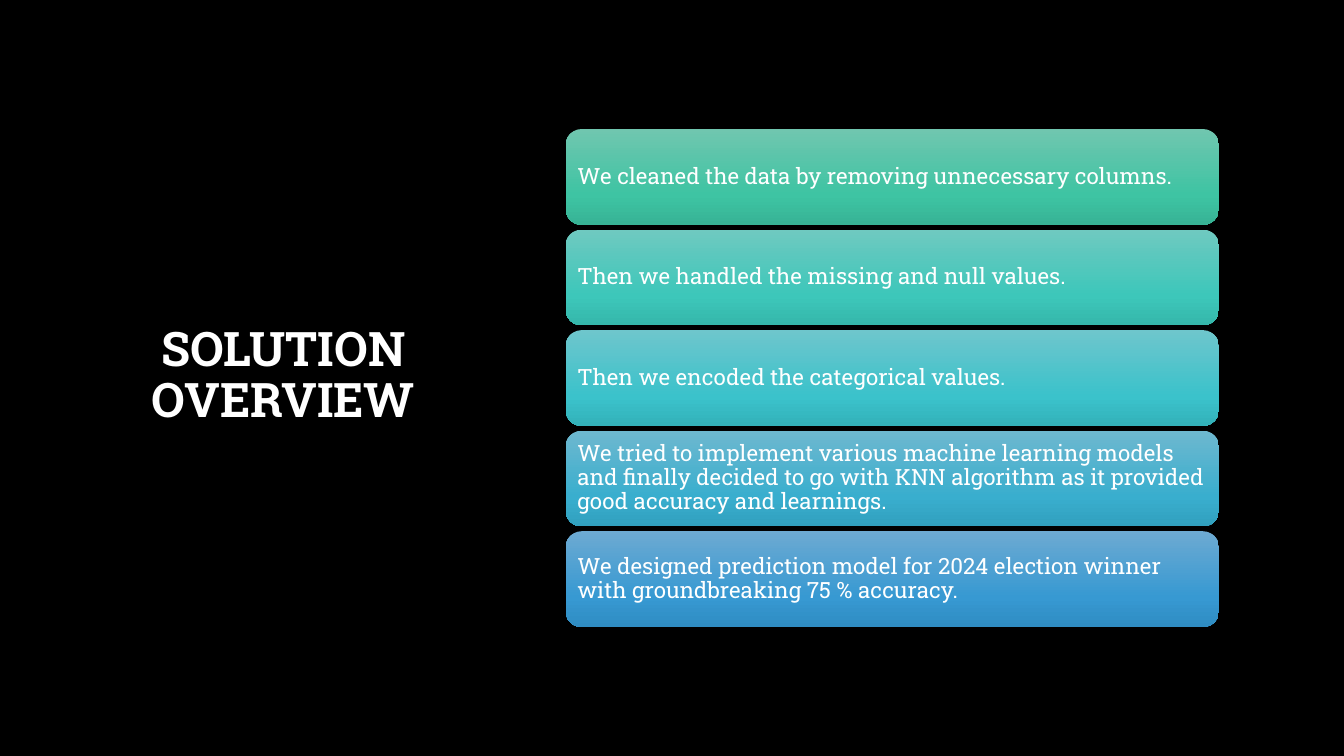
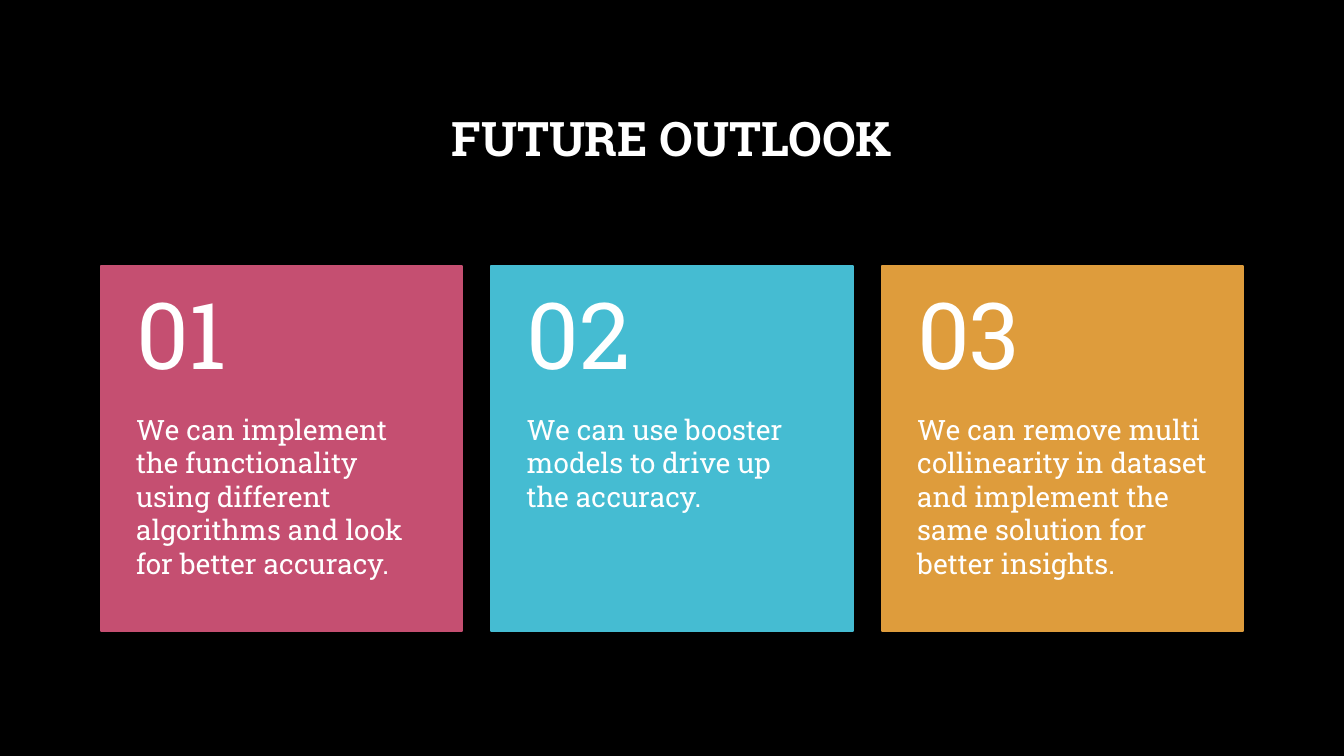
from copy import deepcopy
from dataclasses import dataclass

from pptx import Presentation
from pptx import util as u
from pptx.dml.color import RGBColor
from pptx.enum import shapes, text

STEPS = [
    ("We cleaned the data by removing unnecessary columns.",
     ("70C6AF", "3EC4A3", "37B395")),
    ("Then we handled the missing and null values.",
     ("6FC9C0", "3DC7BA", "35B7AB")),
    ("Then we encoded the categorical values.",
     ("6EC6CC", "3BC2CB", "33B2BA")),
    ("We tried to implement various machine learning models and finally decided "
     "to go with KNN algorithm as it provided good accuracy and learnings.",
     ("6EB8CF", "39AECE", "31A0BE")),
    ("We designed prediction model for 2024 election winner with groundbreaking "
     "75 % accuracy.",
     ("6DAAD2", "3799D2", "2F8CC2")),
]
IDEAS = [
    ("We can implement the functionality using different algorithms and look "
     "for better accuracy.", "C54F71"),
    ("We can use booster models to drive up the accuracy.", "45BCD2"),
    ("We can remove multi collinearity in dataset and implement the same "
     "solution for better insights.", "DE9C3C"),
]


@dataclass(frozen=True)
class Theme:
    font: str = "Roboto Slab"
    back: str = "000000"
    ink: str = "FFFFFF"
    title: int = 34
    step: int = 16
    idea: int = 20
    number: int = 66
    outline: float = 1.5
    stops: tuple = (0, 0.69, 1)


THEME = Theme()
WIDTH, HEIGHT = 13.33, 7.5
TOP = 0.67
MARGIN = 1

deck = Presentation()
deck.slide_width, deck.slide_height = u.Inches(WIDTH), u.Inches(HEIGHT)


def rgb(code):
    return RGBColor.from_string(code)


def inches(*lengths):
    return [u.Inches(length) for length in lengths]


def write(box, words, size, bold=False, align=text.PP_ALIGN.LEFT,
          anchor=text.MSO_ANCHOR.MIDDLE, inset=(0.1, 0.05, 0.1, 0.05), spacing=0.9):
    frame = box.text_frame
    frame.word_wrap = True
    frame.vertical_anchor = anchor
    (frame.margin_left, frame.margin_top,
     frame.margin_right, frame.margin_bottom) = inches(*inset)
    para = frame.paragraphs[0]
    para.alignment, para.line_spacing = align, spacing
    span = para.add_run()
    span.text = words
    span.font.name, span.font.size, span.font.bold = THEME.font, u.Pt(size), bold
    span.font.color.rgb = rgb(THEME.ink)


def add_text(page, place, words, size, **style):
    write(page.shapes.add_textbox(*inches(*place)), words, size, **style)


def add_page(title, place):
    page = deck.slides.add_slide(deck.slide_layouts[6])
    page.background.fill.solid()
    page.background.fill.fore_color.rgb = rgb(THEME.back)
    add_text(page, place, title, THEME.title, bold=True, align=text.PP_ALIGN.CENTER)
    return page


def add_panel(page, kind, place):
    panel = page.shapes.add_shape(kind, *inches(*place))
    panel.shadow.inherit = False
    return panel


def shade(panel, colors):
    panel.fill.gradient()
    panel.fill.gradient_angle = 270
    stop_list = panel.fill._fill._gradFill.gsLst
    stop_list.append(deepcopy(stop_list[-1]))
    for stop, position, color in zip(panel.fill.gradient_stops, THEME.stops, colors):
        stop.position = position
        stop.color.rgb = rgb(color)


def build_overview():
    page = add_page("SOLUTION OVERVIEW", (0.82, TOP, 3.98, 6.13))
    left, top, width, height, pitch = 5.61, 1.28, 6.48, 0.95, 0.9975
    for row, (words, colors) in enumerate(STEPS):
        bar = add_panel(page, shapes.MSO_SHAPE.ROUNDED_RECTANGLE,
                        (left, top + row * pitch, width, height))
        shade(bar, colors)
        bar.line.fill.background()
        write(bar, words, THEME.step, inset=(0.07,) * 4)


def build_outlook():
    inner = WIDTH - 2 * MARGIN
    page = add_page("FUTURE OUTLOOK", (MARGIN, TOP, inner, 1.45))
    top, height, gap = 2.64, 3.62, 0.29
    width = (inner - gap * (len(IDEAS) - 1)) / len(IDEAS)
    head = 0.4 * height
    for column, (words, color) in enumerate(IDEAS):
        left = MARGIN + column * (width + gap)
        card = add_panel(page, shapes.MSO_SHAPE.RECTANGLE, (left, top, width, height))
        card.fill.solid()
        card.fill.fore_color.rgb = card.line.color.rgb = rgb(color)
        card.line.width = u.Pt(THEME.outline)
        add_text(page, (left, top + head, width, height - head), words, THEME.idea,
                 anchor=text.MSO_ANCHOR.TOP, inset=(0.35, 0, 0.35, 0.36), spacing=1.0)
        add_text(page, (left, top, width, head), f"{column + 1:02}", THEME.number,
                 inset=(0.35, 0.18, 0.35, 0.18))


build_overview()
build_outlook()
deck.save("out.pptx")
